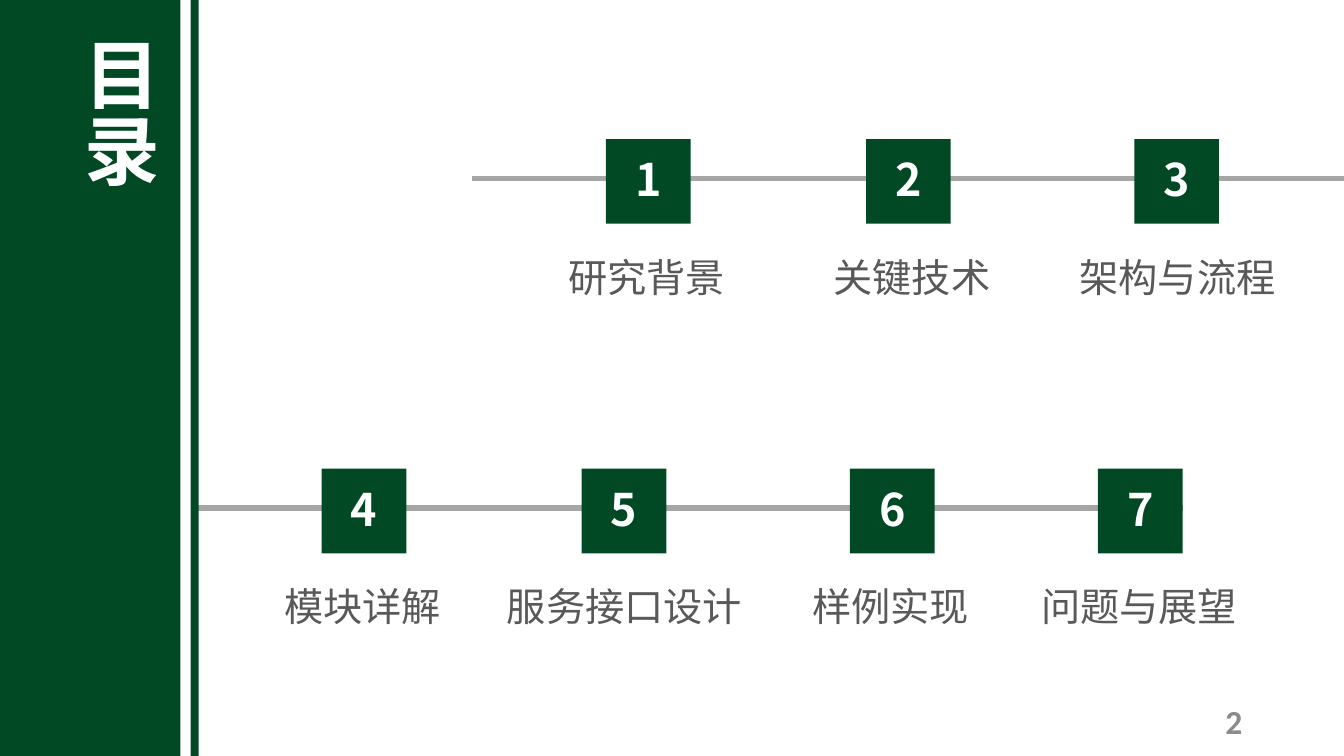
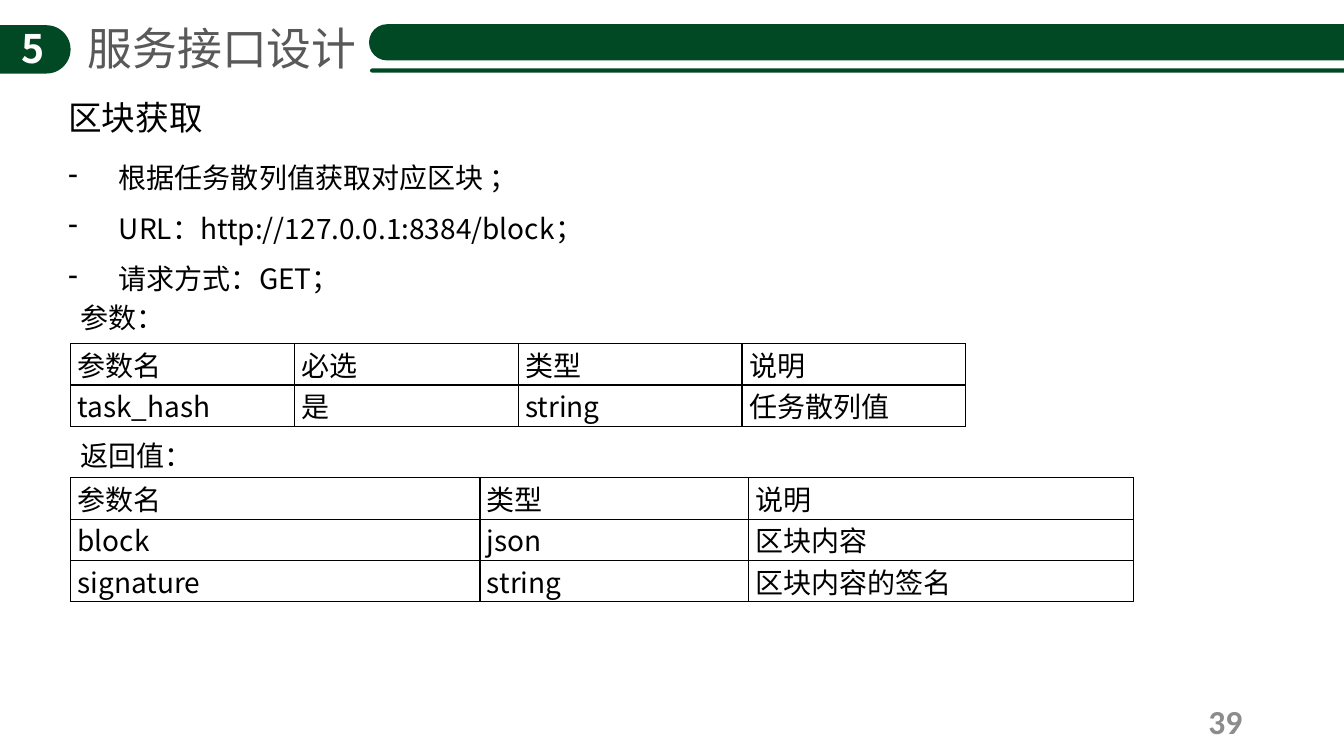
from dataclasses import dataclass

from lxml import etree
from pptx import Presentation
from pptx import util as u
from pptx.dml.color import RGBColor
from pptx.enum import shapes, text
from pptx.oxml import ns

RECT = shapes.MSO_SHAPE.RECTANGLE
ROUND = shapes.MSO_SHAPE.ROUNDED_RECTANGLE
LEFT, MID, RIGHT, JUST = (text.PP_ALIGN.LEFT, text.PP_ALIGN.CENTER,
                          text.PP_ALIGN.RIGHT, text.PP_ALIGN.JUSTIFY)


@dataclass(frozen=True)
class Theme:
    green: str = "014924"
    white: str = "FFFFFF"
    black: str = "000000"
    gray: str = "595959"
    rule: str = "A6A6A6"
    pale: str = "8C8C8C"
    font: str = "Noto Sans CJK SC"
    digit: str = "Calibri"
    huge: int = 54
    head: int = 32
    label: int = 28
    sub: int = 24
    body: int = 20


def color(code):
    return RGBColor.from_string(code)


def child(parent, tag, **attrs):
    return etree.SubElement(parent, ns.qn(tag), attrs)


class Deck:
    def __init__(self, theme):
        self.theme = theme
        self.file = Presentation()
        self.file.slide_width = u.Inches(13.33)
        self.file.slide_height = u.Inches(7.5)
        self.slide = None

    def page(self, number):
        self.slide = self.file.slides.add_slide(self.file.slide_layouts[6])
        t = self.theme
        box = self.text(9.42, 6.95, 3, 0.4, str(number), t.sub, t.pale,
                        bold=True, align=RIGHT, font=t.digit, grow=False)
        box.text_frame.vertical_anchor = text.MSO_ANCHOR.MIDDLE

    def run(self, para, words, size, tint, bold=False, font=None):
        run = para.add_run()
        run.text = words
        face = run.font
        face.name = font or self.theme.font
        face.size = u.Pt(size)
        face.bold = bold
        face.color.rgb = color(tint)
        child(run._r.get_or_add_rPr(), "a:ea", typeface=face.name)

    def text(self, x, y, w, h, words, size, tint, bold=False, align=LEFT,
             font=None, wrap=True, grow=True):
        box = self.slide.shapes.add_textbox(*map(u.Inches, (x, y, w, h)))
        frame = box.text_frame
        frame.word_wrap = wrap
        if grow:
            frame.auto_size = text.MSO_AUTO_SIZE.SHAPE_TO_FIT_TEXT
        para = frame.paragraphs[0]
        para.alignment = align
        self.run(para, words, size, tint, bold, font)
        return box

    def block(self, x, y, w, h, kind=RECT):
        item = self.slide.shapes.add_shape(kind, *map(u.Inches, (x, y, w, h)))
        item.shadow.inherit = False
        item.fill.solid()
        item.fill.fore_color.rgb = color(self.theme.green)
        item.line.fill.background()
        if kind == ROUND:
            item.adjustments[0] = 0.5
        return item

    def badge(self, x, y, w, h, words, size, kind=RECT, left=0, base=0.05):
        """Green block with a white number; left and base are its insets."""
        frame = self.block(x, y, w, h, kind).text_frame
        frame.margin_left, frame.margin_bottom = u.Inches(left), u.Inches(base)
        frame.margin_right = frame.margin_top = 0
        frame.word_wrap = False
        frame.vertical_anchor = text.MSO_ANCHOR.MIDDLE
        frame.paragraphs[0].alignment = MID
        self.run(frame.paragraphs[0], words, size, self.theme.white, True)

    def line(self, x, y, end):
        item = self.slide.shapes.add_connector(
            shapes.MSO_CONNECTOR.STRAIGHT, *map(u.Inches, (x, y, end, y)))
        item.line.color.rgb = color(self.theme.rule)
        item.line.width = u.Pt(4)
        child(item._element.spPr, "a:effectLst")

    def header(self, number, title):
        t = self.theme
        self.badge(-0.28, 0.25, 0.98, 0.48, number, t.label, ROUND, 0.23, 0.03)
        self.text(0.77, 0.16, 2.89, 0.64, title, t.head, t.gray, wrap=False)
        self.block(3.66, 0.24, 10.19, 0.36, ROUND)
        self.block(3.67, 0.68, 10.19, 0.04, ROUND)

    def list(self, x, y, w, h, items):
        t = self.theme
        frame = self.text(x, y, w, h, items[0], t.body, t.black).text_frame
        for words in items[1:]:
            self.run(frame.add_paragraph(), words, t.body, t.black)
        for para in frame.paragraphs:
            props = para._p.get_or_add_pPr()
            props.set("marL", str(u.Inches(0.5)))
            props.set("indent", str(u.Inches(-0.5)))
            child(props, "a:buChar", char="-")
            para.line_spacing = 1.5

    def border(self, cell):
        props = cell._tc.get_or_add_tcPr()
        for side in "LRTB":
            edge = child(props, "a:ln" + side, w=str(u.Pt(1)))
            fill = child(edge, "a:solidFill")
            child(fill, "a:srgbClr", val=self.theme.black)

    def table(self, x, y, widths, rows, high=0.41):
        t = self.theme
        grid = self.slide.shapes.add_table(
            len(rows), len(widths),
            *map(u.Inches, (x, y, sum(widths), high * len(rows)))).table
        grid.first_row = grid.horz_banding = False
        for col, width in zip(grid.columns, widths):
            col.width = u.Inches(width)
        for line, row in zip(grid.rows, rows):
            line.height = u.Inches(high)
            for cell, words in zip(line.cells, row):
                cell.margin_left = cell.margin_right = u.Inches(0.07)
                cell.margin_top = cell.margin_bottom = 0
                self.border(cell)
                cell.fill.background()
                para = cell.text_frame.paragraphs[0]
                para.alignment = JUST
                self.run(para, words, t.body, t.black)


def agenda(deck):
    t = deck.theme
    deck.page(2)
    side = 0.84
    # Each row: square top, line start and end, then (square left, label left,
    # label width, label) per topic.
    rows = [
        (1.38, 4.68, 13.33, [(6.01, 5.54, 1.77, "研究背景"),
                             (8.59, 8.17, 1.77, "关键技术"),
                             (11.25, 10.61, 2.22, "架构与流程")]),
        (4.65, 1.9, 11.73, [(3.19, 2.72, 1.77, "模块详解"),
                            (5.77, 4.93, 2.56, "服务接口设计"),
                            (8.43, 7.96, 1.77, "样例实现"),
                            (10.89, 10.23, 2.17, "问题与展望")]),
    ]
    number = 0
    for top, start, end, topics in rows:
        deck.line(start, top + 0.39, end)
        for left, x, w, label in topics:
            number += 1
            deck.badge(left, top, side, side, str(number), t.head)
            deck.text(x, top + 1.08, w, 0.57, label, t.label, t.gray,
                      wrap=False)
    deck.block(0, 0, 1.79, 7.5)
    deck.block(1.89, 0, 0.08, 7.5)
    title = deck.text(0.58, 0.27, 1.11, 1.92, "目录", t.huge, t.white,
                      bold=True, align=JUST)
    title.text_frame._txBody.bodyPr.set("vert", "eaVert")


def service(deck):
    t = deck.theme
    deck.page(39)
    deck.header("5", "服务接口设计")
    deck.text(0.58, 0.91, 1.55, 0.5, "区块获取", t.sub, t.black, wrap=False)
    deck.list(0.58, 1.38, 5.92, 1.56, [
        "根据任务散列值获取对应区块 ；",
        "URL：http://127.0.0.1:8384/block；",
        "请求方式：GET；",
    ])
    deck.text(0.7, 2.93, 0.93, 0.44, "参数：", t.body, t.black)
    deck.table(0.7, 3.41, [2.22] * 4, [
        ("参数名", "必选", "类型", "说明"),
        ("task_hash", "是", "string", "任务散列值"),
    ])
    deck.text(0.7, 4.3, 1.77, 0.44, "返回值：", t.body, t.black)
    deck.table(0.7, 4.74, [4.06, 2.66, 3.82], [
        ("参数名", "类型", "说明"),
        ("block", "json", "区块内容"),
        ("signature", "string", "区块内容的签名"),
    ])


def main():
    deck = Deck(Theme())
    agenda(deck)
    service(deck)
    deck.file.save("out.pptx")


if __name__ == "__main__":
    main()
